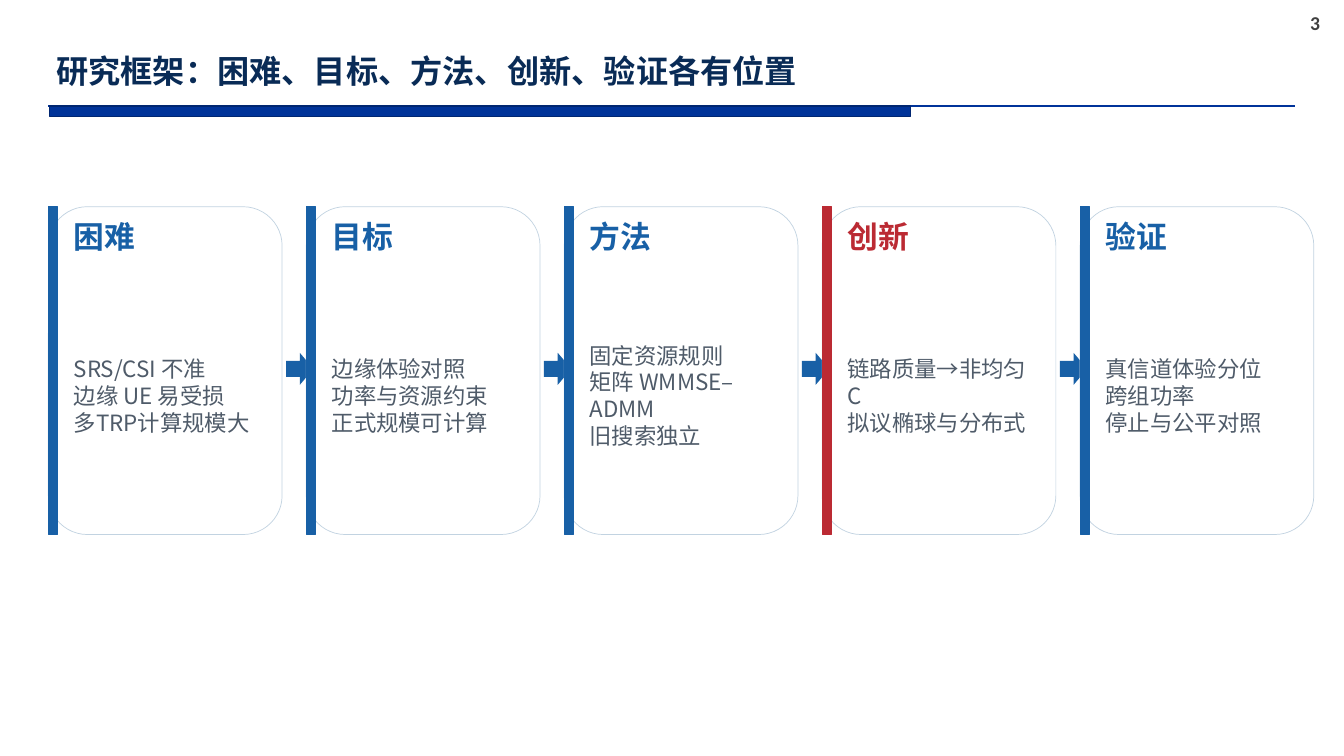
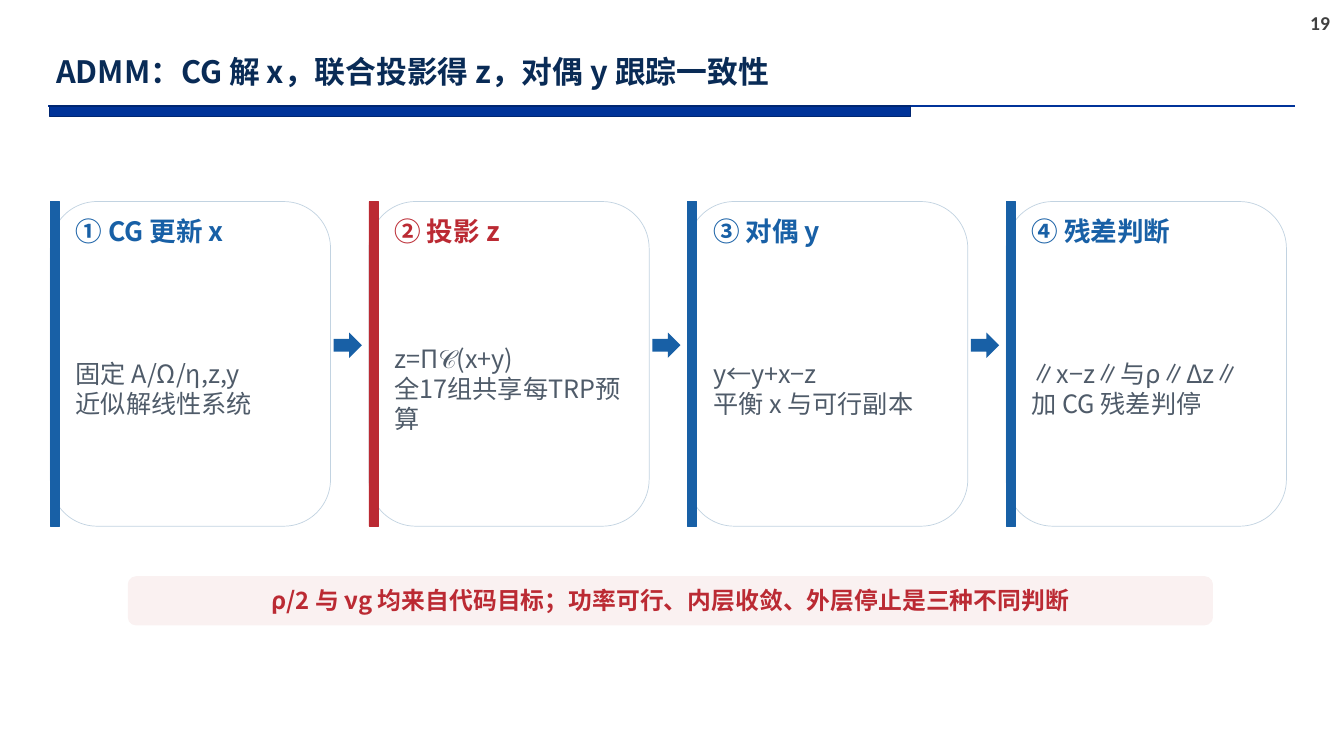
from dataclasses import dataclass, field

from lxml import etree
from pptx import Presentation
from pptx import util as u
from pptx.dml.color import RGBColor
from pptx.enum import shapes, text
from pptx.oxml import ns
from pptx.shapes.autoshape import Shape
from pptx.slide import Slide

CARD_SHAPE = shapes.MSO_SHAPE.ROUNDED_RECTANGLE
BAR_SHAPE = shapes.MSO_SHAPE.RECTANGLE
ARROW_SHAPE = shapes.MSO_SHAPE.RIGHT_ARROW


@dataclass(frozen=True)
class Theme:
    font: str = "Noto Sans CJK SC"
    number_font: str = "Calibri"
    navy: str = "092B56"
    band: str = "003399"
    band_edge: str = "002671"
    blue: str = "1860A6"
    red: str = "BB2A33"
    white: str = "FFFFFF"
    card_edge: str = "C2D3E1"
    body: str = "4F5B69"
    number: str = "404040"
    note_fill: str = "FAF1F1"
    number_size: float = 14
    note_size: float = 17
    inset: float = 0.13
    hairline: float = 0.5


THEME = Theme()


@dataclass(frozen=True)
class Box:
    left: float
    top: float
    width: float
    height: float

    def lengths(self) -> tuple[u.Cm, ...]:
        return tuple(u.Cm(value) for value in (self.left, self.top, self.width, self.height))


@dataclass(frozen=True)
class Style:
    size: float
    color: str
    bold: bool = False
    font: str = THEME.font
    alignment: text.PP_ALIGN = text.PP_ALIGN.LEFT
    line_spacing: float = 1.0


@dataclass(frozen=True)
class Card:
    heading: str
    lines: list[str]
    color: str = THEME.blue


@dataclass(frozen=True)
class Flow:
    first: Box
    pitch: float
    arrow: Box
    heading_size: float
    body_size: float
    cards: list[Card] = field(default_factory=list)


@dataclass(frozen=True)
class Page:
    number: int
    title: str
    title_size: float
    flow: Flow
    note: str = ""


def add_block(slide: Slide, kind: shapes.MSO_SHAPE, box: Box, fill: str,
              edge: str = "", edge_width: float = THEME.hairline) -> Shape:
    shape = slide.shapes.add_shape(kind, *box.lengths())
    shape.shadow.inherit = False
    shape.fill.solid()
    shape.fill.fore_color.rgb = RGBColor.from_string(fill)
    if edge:
        shape.line.color.rgb = RGBColor.from_string(edge)
        shape.line.width = u.Pt(edge_width)
    else:
        shape.line.fill.background()
    return shape


def add_text(slide: Slide, box: Box, lines: list[str], style: Style,
             inset: float = THEME.inset, right_inset: float = THEME.inset,
             anchor: text.MSO_ANCHOR = text.MSO_ANCHOR.MIDDLE) -> None:
    frame = slide.shapes.add_textbox(*box.lengths()).text_frame
    frame_format = {
        "word_wrap": True,
        "vertical_anchor": anchor,
        "margin_left": u.Cm(inset),
        "margin_right": u.Cm(right_inset),
        "margin_top": u.Cm(THEME.inset),
        "margin_bottom": u.Cm(THEME.inset),
    }
    for name, value in frame_format.items():
        setattr(frame, name, value)
    font_format = {"name": style.font, "size": u.Pt(style.size), "bold": style.bold}
    for index, line in enumerate(lines):
        paragraph = frame.add_paragraph() if index else frame.paragraphs[0]
        paragraph.alignment = style.alignment
        paragraph.line_spacing = style.line_spacing
        run = paragraph.add_run()
        run.text = line
        for name, value in font_format.items():
            setattr(run.font, name, value)
        run.font.color.rgb = RGBColor.from_string(style.color)
        east_asian = etree.SubElement(run._r.get_or_add_rPr(), ns.qn("a:ea"))
        east_asian.set("typeface", style.font)


def add_frame(slide: Slide, page: Page) -> None:
    rule = slide.shapes.add_connector(
        shapes.MSO_CONNECTOR.STRAIGHT, u.Cm(1.22), u.Cm(2.67), u.Cm(32.64), u.Cm(2.67))
    rule.line.color.rgb = RGBColor.from_string(THEME.band)
    rule.line.width = u.Pt(1.5)
    etree.SubElement(rule._element.spPr, ns.qn("a:effectLst"))
    add_block(slide, BAR_SHAPE, Box(1.25, 2.67, 21.69, 0.26), THEME.band, THEME.band_edge, 1)
    add_text(slide, Box(32.77, 0.15, 1.1, 0.86), [str(page.number)],
             Style(THEME.number_size, THEME.number, True, THEME.number_font),
             inset=0.25, right_inset=0, anchor=text.MSO_ANCHOR.TOP)
    add_text(slide, Box(1.17, 1.02, 24, 1.65), [page.title],
             Style(page.title_size, THEME.navy, True, line_spacing=0.9), inset=0.25)


def add_card(slide: Slide, box: Box, card: Card, flow: Flow) -> None:
    add_block(slide, CARD_SHAPE, box, THEME.white, THEME.card_edge)
    add_block(slide, BAR_SHAPE, Box(box.left, box.top, 0.23, box.height), card.color, card.color)
    text_left = box.left + 0.51
    text_width = box.width - 0.87
    add_text(slide, Box(text_left, box.top + 0.28, text_width, 0.94), [card.heading],
             Style(flow.heading_size, card.color, True))
    add_text(slide, Box(text_left, box.top + 1.5, text_width, box.height - 1.75), card.lines,
             Style(flow.body_size, THEME.body))


def add_flow(slide: Slide, flow: Flow) -> None:
    first, arrow = flow.first, flow.arrow
    for index, card in enumerate(flow.cards):
        shift = index * flow.pitch
        add_card(slide, Box(first.left + shift, first.top, first.width, first.height), card, flow)
        if index < len(flow.cards) - 1:
            add_block(slide, ARROW_SHAPE,
                      Box(arrow.left + shift, arrow.top, arrow.width, arrow.height), THEME.blue)


def add_note(slide: Slide, note: str) -> None:
    add_block(slide, CARD_SHAPE, Box(3.23, 14.53, 27.33, 1.22), THEME.note_fill, THEME.note_fill)
    add_text(slide, Box(3.38, 14.63, 27.03, 0.99), [note],
             Style(THEME.note_size, THEME.red, True, alignment=text.PP_ALIGN.CENTER))


PAGES = [
    Page(3, "研究框架：困难、目标、方法、创新、验证各有位置", 23, Flow(
        Box(1.22, 5.21, 5.89, 8.26), 6.5, Box(7.21, 8.89, 0.69, 0.81), 22, 16, [
            Card("困难", ["SRS/CSI 不准", "边缘 UE 易受损", "多TRP计算规模大"]),
            Card("目标", ["边缘体验对照", "功率与资源约束", "正式规模可计算"]),
            Card("方法", ["固定资源规则", "矩阵 WMMSE–ADMM", "旧搜索独立"]),
            Card("创新", ["链路质量→非均匀 C", "拟议椭球与分布式"], THEME.red),
            Card("验证", ["真信道体验分位", "跨组功率", "停止与公平对照"]),
        ])),
    Page(19, "ADMM：CG 解 x，联合投影得 z，对偶 y 跟踪一致性", 22, Flow(
        Box(1.27, 5.08, 7.06, 8.18), 8.03, Box(8.41, 8.38, 0.71, 0.64), 19, 18, [
            Card("① CG 更新 x", ["固定 A/Ω/η,z,y", "近似解线性系统"]),
            Card("② 投影 z", ["z=Π𝒞(x+y)", "全17组共享每TRP预算"], THEME.red),
            Card("③ 对偶 y", ["y←y+x−z", "平衡 x 与可行副本"]),
            Card("④ 残差判断", ["∥x−z∥与ρ∥Δz∥", "加 CG 残差判停"]),
        ]), "ρ/2 与 νg 均来自代码目标；功率可行、内层收敛、外层停止是三种不同判断"),
]


def main() -> None:
    presentation = Presentation()
    presentation.slide_width = u.Cm(33.87)
    presentation.slide_height = u.Cm(19.05)
    for page in PAGES:
        slide = presentation.slides.add_slide(presentation.slide_layouts[6])
        add_frame(slide, page)
        add_flow(slide, page.flow)
        if page.note:
            add_note(slide, page.note)
    presentation.save("out.pptx")


if __name__ == "__main__":
    main()
